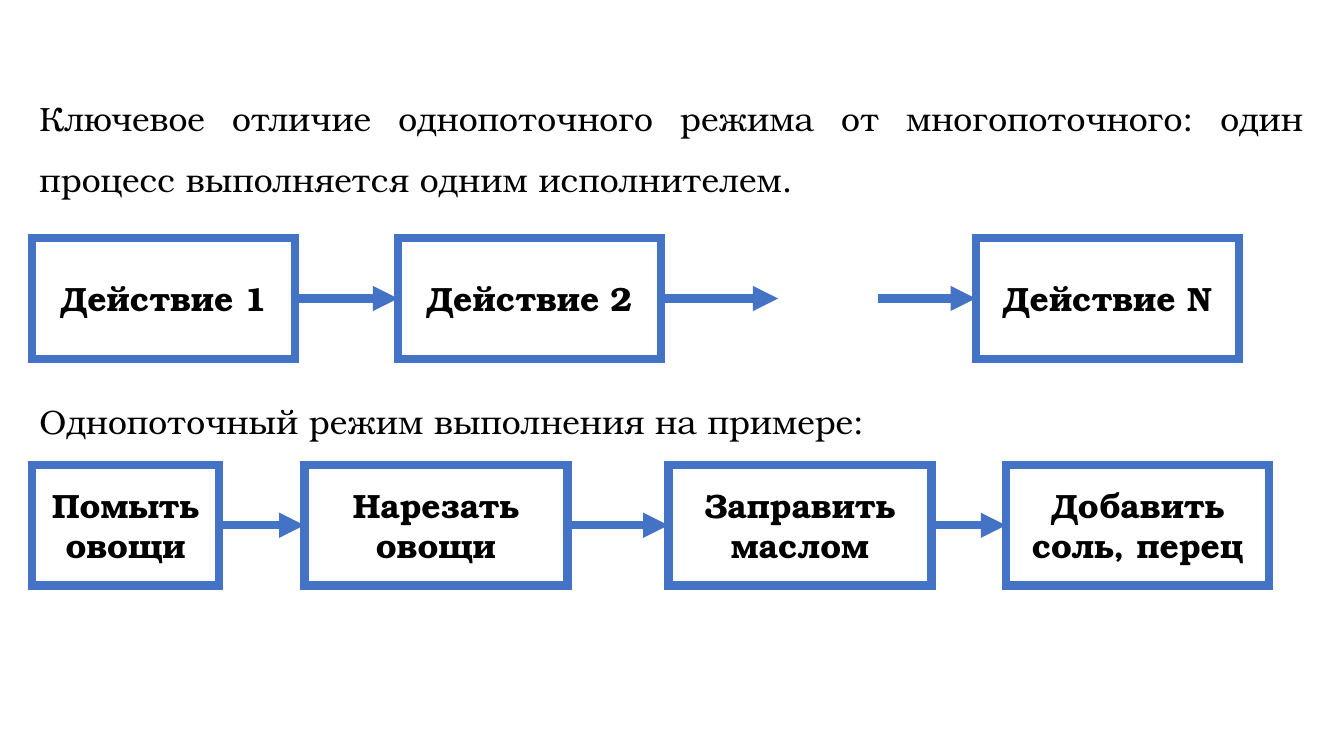
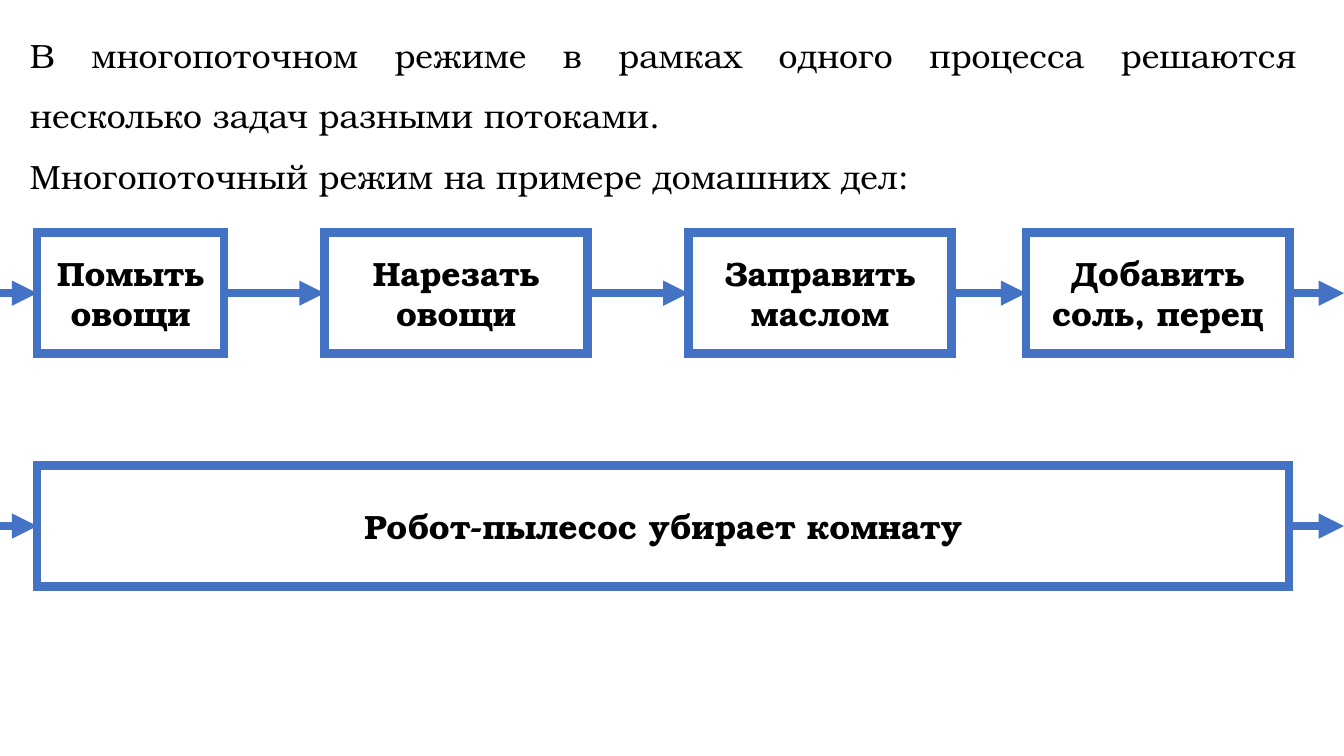
from itertools import pairwise
from lxml import etree
from pptx import Presentation
from pptx.dml.color import RGBColor
from pptx.enum.shapes import MSO_CONNECTOR, MSO_SHAPE
from pptx.enum.text import MSO_ANCHOR, MSO_AUTO_SIZE, PP_ALIGN
from pptx.oxml.ns import qn
from pptx.util import Pt

RECT = MSO_SHAPE.RECTANGLE
LINE = MSO_CONNECTOR.STRAIGHT
MIDDLE = MSO_ANCHOR.MIDDLE
TOP = MSO_ANCHOR.TOP
FIXED = MSO_AUTO_SIZE.NONE
CENTER = PP_ALIGN.CENTER
JUSTIFY = PP_ALIGN.JUSTIFY
LEFT_SIDE, RIGHT_SIDE = 1, 3

COLORS = {"blue": "4472C4", "text": "000000"}
FONT = {"name": "TeX Gyre Bonum", "size": Pt(24)}
PROSE = {"alignment": JUSTIFY, "line_spacing": 1.5}
LABEL = {"alignment": CENTER}
WIDTH, HEIGHT = 960, 540
BOX_W, BOX_H = 188, 86.4
STROKE = 6


def salad(first, shift):
    return [
        ("Помыть овощи", first, 133.4),
        ("Нарезать овощи", 217.4 + shift, BOX_W),
        ("Заправить маслом", 477.4 + shift, BOX_W),
        ("Добавить соль, перец", 718.6 + shift, BOX_W),
    ]


START, END = (None, 0, 0), (None, WIDTH, 0)
SLIDES = [
    {
        "area": (21, 52, 917, 312),
        "text": [
            ("Ключевое отличие однопоточного режима от многопоточного: "
             "один процесс выполняется одним исполнителем.", 0),
            ("Однопоточный режим выполнения на примере:", 130),
        ],
        "rows": [
            (170, [
                ("Действие 1", 23, BOX_W),
                ("Действие 2", 284.4, BOX_W),
                (None, 555.8, 71.3),
                ("Действие N", 697, BOX_W),
            ]),
            (332, salad(23, 0)),
        ],
    },
    {
        "area": (14.2, 6.7, 919, 138),
        "text": [
            ("В многопоточном режиме в рамках одного процесса решаются "
             "несколько задач разными потоками.", 0),
            ("Многопоточный режим на примере домашних дел:", 0),
        ],
        "rows": [
            (166.2, [START, *salad(26.6, 14.4), END]),
            (332.6, [START, ("Робот-пылесос убирает комнату", 26.6, 894.4), END]),
        ],
    },
]


def style(obj, values):
    for key, value in values.items():
        setattr(obj, key, value)


def color(name):
    return RGBColor.from_string(COLORS[name])


def write(par, text, look, bold=False):
    style(par, look)
    run = par.add_run()
    run.text = text
    style(run.font, {**FONT, "bold": bold})
    run.font.color.rgb = color("text")


def stroke(line, tag, **attrs):
    line.color.rgb = color("blue")
    line.width = Pt(STROKE)
    etree.SubElement(line._get_or_add_ln(), qn(tag), attrs)


def add_prose(slide, area, text):
    slide.shapes.title.element.getparent().remove(slide.shapes.title.element)
    body = slide.placeholders[1]
    style(body, dict(zip(("left", "top", "width", "height"), map(Pt, area))))
    frame = body.text_frame
    style(frame, {"word_wrap": True, "auto_size": FIXED, "vertical_anchor": TOP})
    for i, (words, gap) in enumerate(text):
        par = frame.add_paragraph() if i else frame.paragraphs[0]
        write(par, words, {**PROSE, "space_before": Pt(gap)})
        props = par._p.get_or_add_pPr()
        props.set("marL", "0")
        props.set("indent", "0")
        etree.SubElement(props, qn("a:buNone"))


def add_box(slide, text, left, top, width):
    box = slide.shapes.add_shape(RECT, Pt(left), Pt(top), Pt(width), Pt(BOX_H))
    box.shadow.inherit = False
    box.fill.background()
    stroke(box.line, "a:miter", lim="800000")
    style(box.text_frame, {"word_wrap": True, "vertical_anchor": MIDDLE})
    write(box.text_frame.paragraphs[0], text, LABEL, True)
    return box


def add_arrow(slide, x1, x2, y, source, target):
    arrow = slide.shapes.add_connector(LINE, Pt(x1), Pt(y), Pt(x2), Pt(y))
    if source:
        arrow.begin_connect(source, RIGHT_SIDE)
    if target:
        arrow.end_connect(target, LEFT_SIDE)
    stroke(arrow.line, "a:tailEnd", type="triangle")
    etree.SubElement(arrow._element.spPr, qn("a:effectLst"))


def add_row(slide, top, steps):
    stops = [
        (left, left + width, add_box(slide, text, left, top, width) if text else None)
        for text, left, width in steps
    ]
    for (_, x1, source), (x2, _, target) in pairwise(stops):
        add_arrow(slide, x1, x2, top + BOX_H / 2, source, target)


def main():
    deck = Presentation()
    style(deck, {"slide_width": Pt(WIDTH), "slide_height": Pt(HEIGHT)})
    for page in SLIDES:
        slide = deck.slides.add_slide(deck.slide_layouts[1])
        add_prose(slide, page["area"], page["text"])
        for top, steps in page["rows"]:
            add_row(slide, top, steps)
    deck.save("out.pptx")


if __name__ == "__main__":
    main()
